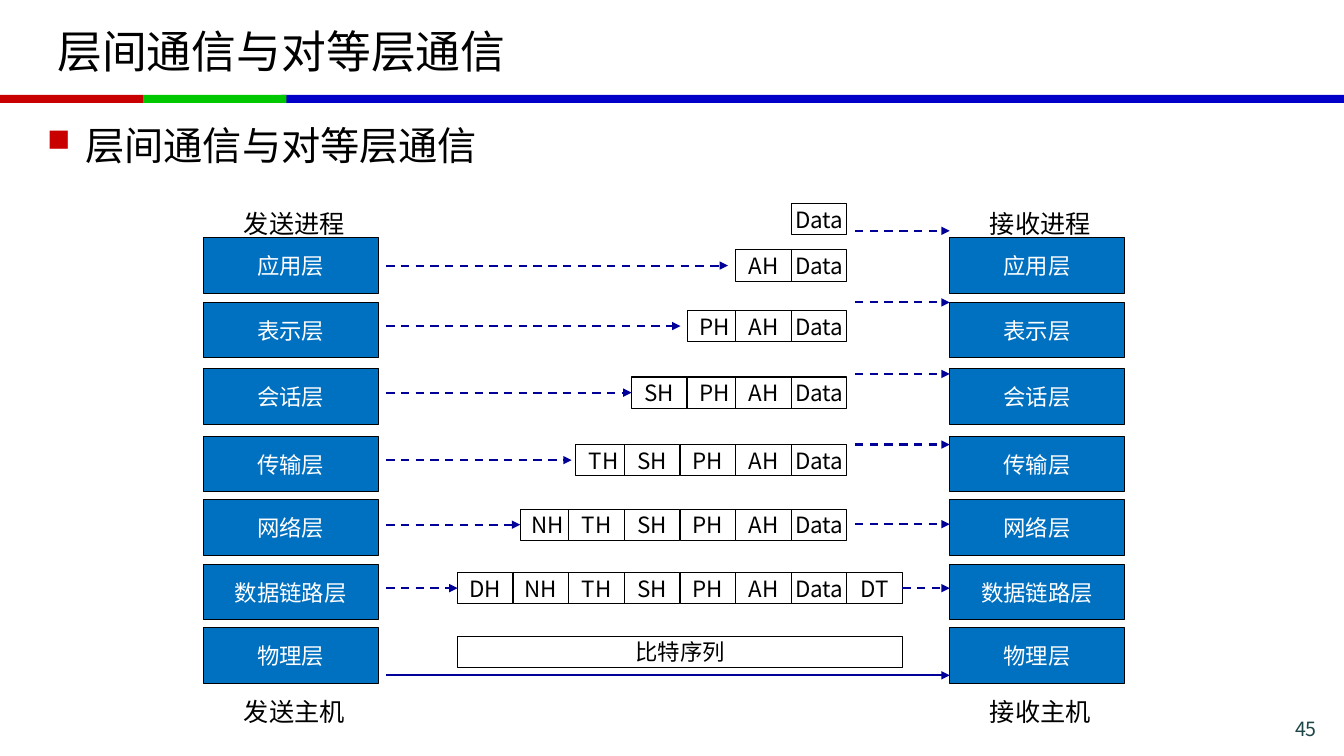
"""Build the slide on communication between layers and between peer layers."""
from lxml.etree import SubElement
from pptx import Presentation
from pptx.dml.color import RGBColor
from pptx.enum.dml import MSO_LINE
from pptx.enum.shapes import MSO_CONNECTOR, MSO_SHAPE
from pptx.enum.text import MSO_ANCHOR, PP_ALIGN
from pptx.oxml.ns import qn
from pptx.util import Inches, Pt

FONT = "Noto Sans CJK SC"
BLACK = RGBColor(0x00, 0x00, 0x00)
WHITE = RGBColor(0xFF, 0xFF, 0xFF)
RED = RGBColor(0xC8, 0x00, 0x00)
GREEN = RGBColor(0x00, 0xC8, 0x00)
BLUE = RGBColor(0x00, 0x00, 0xC8)
LAYER_BLUE = RGBColor(0x00, 0x70, 0xC0)
ARROW_BLUE = RGBColor(0x00, 0x00, 0x99)
PAGE_TEAL = RGBColor(0x1E, 0x46, 0x49)

LAYERS = ["应用层", "表示层", "会话层", "传输层", "网络层", "数据链路层", "物理层"]
LAYER_TOPS = [2.36, 3, 3.66, 4.33, 4.96, 5.6, 6.23]
UNITS = ["DH", "NH", "TH", "SH", "PH", "AH", "Data"]
CELL_W, CELL_H = 0.55, 0.31
CELL_STEP = 0.552
CELL_SHIFT = 0.07
SEND_X, RECEIVE_X = 3.83, 9.42


def write(paragraph, text, size, color, align=PP_ALIGN.LEFT):
    """Put text in a paragraph and style it."""
    paragraph.text = text
    paragraph.alignment = align
    font = paragraph.font
    font.name, font.size = FONT, Pt(size)
    font.color.rgb = color
    defaults = paragraph._p.pPr.find(qn("a:defRPr"))
    SubElement(defaults, qn("a:ea"), typeface=FONT)


def add_text(shapes, box, text, size, color=BLACK, align=PP_ALIGN.LEFT,
             anchor=MSO_ANCHOR.TOP, wrap=True):
    """Add a text box holding one paragraph."""
    frame = shapes.add_textbox(*map(Inches, box)).text_frame
    frame.word_wrap = wrap
    frame.vertical_anchor = anchor
    write(frame.paragraphs[0], text, size, color, align)
    return frame.paragraphs[0]


def add_block(shapes, box, fill, text="", color=BLACK):
    """Add a rectangle, outlined and labelled when it has text."""
    block = shapes.add_shape(MSO_SHAPE.RECTANGLE, *map(Inches, box))
    block.shadow.inherit = False
    block.fill.solid()
    block.fill.fore_color.rgb = fill
    if not text:
        block.line.fill.background()
        return block
    block.line.color.rgb = BLACK
    block.line.width = Pt(0.75)
    block.text_frame.word_wrap = False
    block.text_frame.vertical_anchor = MSO_ANCHOR.MIDDLE
    write(block.text_frame.paragraphs[0], text, 16, color, PP_ALIGN.CENTER)
    return block


def add_arrow(shapes, left, right, y, dashed=True):
    """Add a horizontal arrow pointing right."""
    arrow = shapes.add_connector(
        MSO_CONNECTOR.STRAIGHT, Inches(left), Inches(y), Inches(right), Inches(y))
    arrow.line.color.rgb = ARROW_BLUE
    arrow.line.width = Pt(1.5)
    if dashed:
        arrow.line.dash_style = MSO_LINE.DASH
    SubElement(arrow.line._get_or_add_ln(), qn("a:tailEnd"), type="triangle")
    SubElement(arrow._element.spPr, qn("a:effectLst"))
    return arrow


def add_header(shapes, box):
    """Add the title and the three-colour rule along the bottom of the box."""
    left, top, width, height = box
    rule_top, rule_h, short = top + height - 0.08, 0.08, 1.42
    add_block(shapes, (left + 2.79, rule_top, width - 2.79, rule_h), BLUE)
    for index, color in enumerate((RED, GREEN)):
        add_block(shapes, (left + index * short, rule_top, short, rule_h), color)
    add_text(shapes, (left + 0.47, top + 0.08, 12.39, 0.84), "层间通信与对等层通信",
             32, anchor=MSO_ANCHOR.MIDDLE)


def add_bullet(shapes, box):
    """Add the bulleted heading."""
    heading = add_text(shapes, box, "", 28)
    properties = heading._p.get_or_add_pPr()
    properties.set("marL", str(Inches(0.38)))
    properties.set("indent", str(-Inches(0.38)))
    defaults = properties.find(qn("a:defRPr"))
    properties.remove(defaults)
    bullet_color = SubElement(properties, qn("a:buClr"))
    SubElement(bullet_color, qn("a:srgbClr"), val=str(RED))
    SubElement(properties, qn("a:buSzPct"), val="80000")
    SubElement(properties, qn("a:buChar"), char="■")
    write(heading, "层间通信与对等层通信", 28, BLACK)


def add_stack(shapes, box, process, host):
    """Add one machine's layers between its process and host labels."""
    left, top, width, height = box
    layers = shapes.add_group_shape().shapes
    for name, layer_top in zip(LAYERS, LAYER_TOPS):
        add_block(layers, (left, layer_top, width, 0.55), LAYER_BLUE, name, WHITE)
    for label, label_top in ((process, top), (host, top + height - 0.4)):
        add_text(shapes, (left + 0.3, label_top, 1.2, 0.4), label, 18, wrap=False)


def add_unit_row(shapes, right, top, count, shifted):
    """Add a data unit ending at right, its first cells nudged, and return them."""
    cells = []
    for index, name in enumerate(UNITS[-count:]):
        nudge = CELL_SHIFT if index < shifted else 0
        left = right - CELL_W - (count - 1 - index) * CELL_STEP + nudge
        cells.append(add_block(shapes, (left, top, CELL_W, CELL_H), WHITE, name))
    return cells


def add_exchange(shapes, box):
    """Add the data units, the bit sequence and the arrows between the stacks."""
    left, top, width, height = box
    data_right = left + width - CELL_W
    add_unit_row(shapes, data_right, top, 1, 0)
    rows = [(2.48, 0, 7.22, False), (3.08, 1, 6.75, False), (3.74, 2, 6.26, True),
            (4.41, 1, 5.67, False), (5.05, 1, 5.16, True), (5.68, 0, 4.54, True)]
    for count, (row_top, shifted, tip, joined) in enumerate(rows, start=2):
        cells = add_unit_row(shapes, data_right, row_top, count, shifted)
        arrow = add_arrow(shapes, SEND_X, tip, row_top + CELL_H / 2)
        if joined:
            arrow.end_connect(cells[0], 1)
    trailer = add_block(shapes, (data_right, row_top, CELL_W, CELL_H), WHITE, "DT")
    arrow = add_arrow(shapes, left + width, RECEIVE_X, row_top + CELL_H / 2)
    arrow.begin_connect(trailer, 3)
    add_block(shapes, (left, top + height - CELL_H, width, CELL_H), WHITE, "比特序列")
    add_arrow(shapes, SEND_X, RECEIVE_X, 6.7, dashed=False)
    deliveries = shapes.add_group_shape().shapes
    for y in (2.29, 3, 3.71, 4.41, 5.2):
        add_arrow(deliveries, data_right + 0.08, RECEIVE_X, y)


def main():
    """Build and save the slide."""
    deck = Presentation()
    deck.slide_width, deck.slide_height = Inches(13.33), Inches(7.5)
    shapes = deck.slides.add_slide(deck.slide_layouts[6]).shapes
    add_header(shapes, (0, 0, 13.33, 1.02))
    add_bullet(shapes, (0.37, 1.15, 12.6, 0.63))
    add_stack(shapes, (2.02, 2.02, 1.73, 5.24), "发送进程", "发送主机")
    add_stack(shapes, (RECEIVE_X, 2.02, 1.73, 5.24), "接收进程", "接收主机")
    add_exchange(shapes, (4.54, 2.02, 4.41, 4.6))
    add_text(shapes, (11.86, 7.06, 1.3, 0.28), "45", 14, PAGE_TEAL, PP_ALIGN.RIGHT)
    deck.save("out.pptx")


if __name__ == "__main__":
    main()
